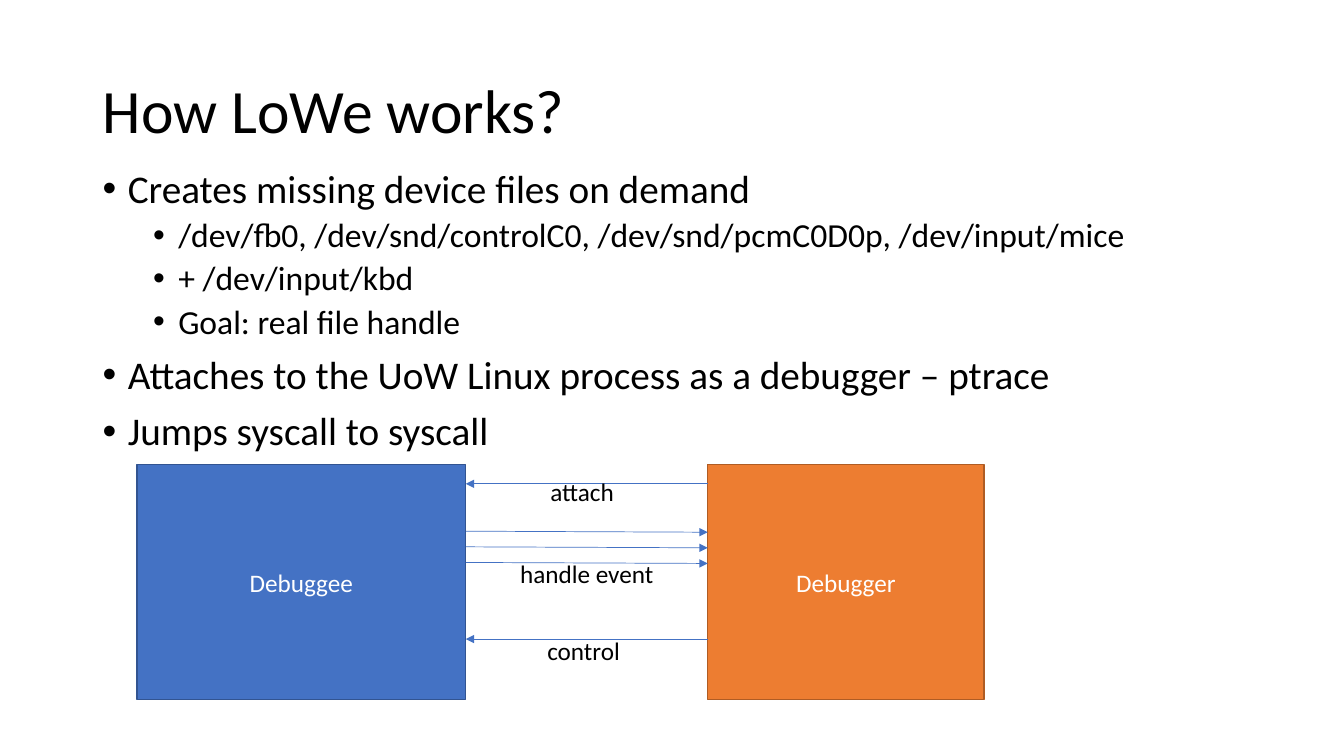
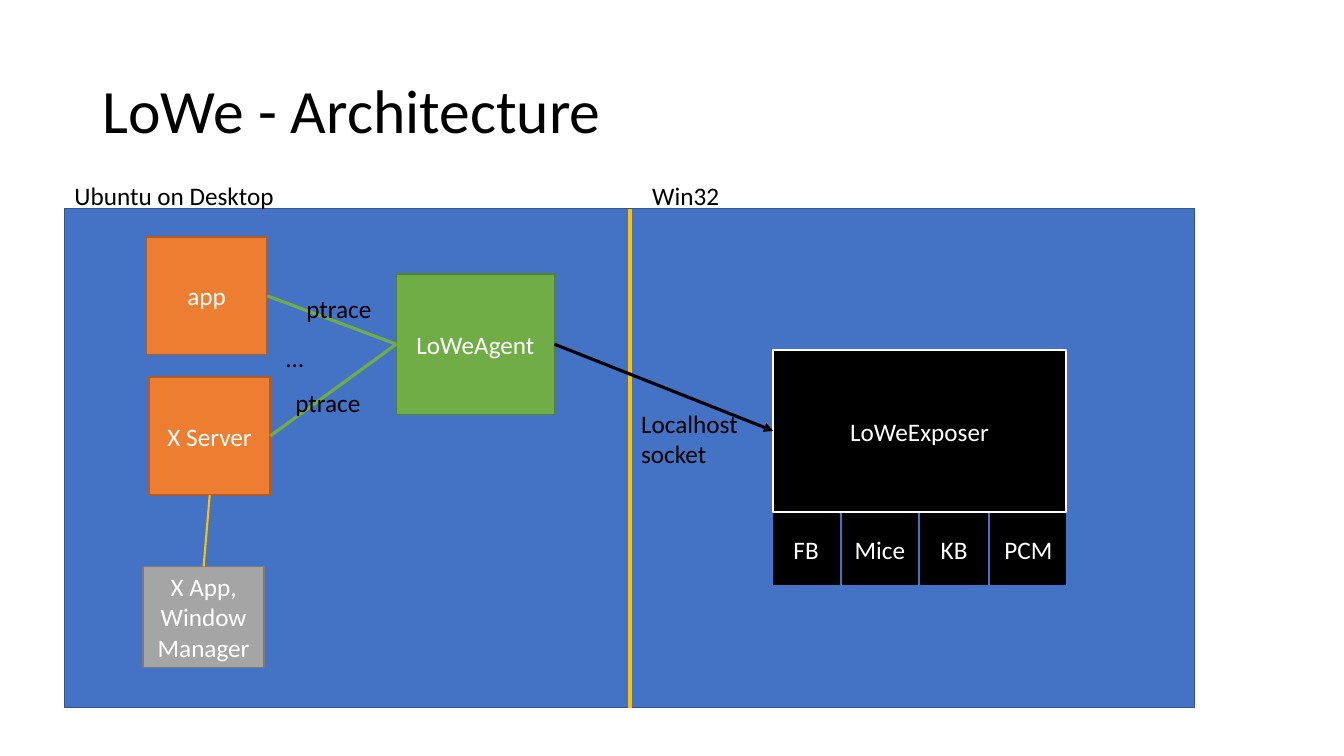
from lxml import etree
from pptx import Presentation
from pptx.dml.color import RGBColor
from pptx.enum.shapes import MSO_CONNECTOR, MSO_SHAPE
from pptx.enum.text import MSO_ANCHOR, PP_ALIGN
from pptx.oxml.ns import qn
from pptx.util import Inches, Pt

STRAIGHT = MSO_CONNECTOR.STRAIGHT
RECTANGLE = MSO_SHAPE.RECTANGLE
MIDDLE, TOP = MSO_ANCHOR.MIDDLE, MSO_ANCHOR.TOP
CENTER, LEFT = PP_ALIGN.CENTER, PP_ALIGN.LEFT

FONT = "Calibri"
LABEL_SIZE = 18
LABEL_HEIGHT = 0.4
TITLE_BOX = (0.92, 0.4, 11.5, 1.45)
COLORS = {
    "blue": "4472C4", "blue_edge": "325491",
    "orange": "ED7D31", "orange_edge": "AF5C24",
    "green": "70AD47", "green_edge": "538035",
    "gray": "A5A5A5", "gray_edge": "7A7A7A",
    "gold": "FFC000", "black": "000000", "white": "FFFFFF",
}
SITE_TOP, SITE_LEFT, SITE_BOTTOM, SITE_RIGHT = range(4)
LEVELS = (
    {"size": 28, "indent": 0.25, "before": 10},
    {"size": 24, "indent": 0.75, "before": 5},
)


def color(name):
    return RGBColor.from_string(COLORS[name])


def format_runs(paragraph, size, color_name):
    for run in paragraph.runs:
        run.font.name = FONT
        run.font.size = Pt(size)
        run.font.color.rgb = color(color_name)


def add_text(slide, box, text, size=LABEL_SIZE, wrap=False, anchor=TOP):
    shape = slide.shapes.add_textbox(*map(Inches, box))
    frame = shape.text_frame
    frame.word_wrap = wrap
    frame.vertical_anchor = anchor
    frame.text = text
    for paragraph in frame.paragraphs:
        paragraph.alignment = LEFT
        format_runs(paragraph, size, "black")
    return frame


def add_title(slide, text):
    frame = add_text(slide, TITLE_BOX, text, 44, True, MIDDLE)
    frame.paragraphs[0].line_spacing = 0.9


def add_box(slide, box, text, fill, edge, edge_width=1):
    shape = slide.shapes.add_shape(RECTANGLE, *map(Inches, box))
    shape.shadow.inherit = False
    shape.fill.solid()
    shape.fill.fore_color.rgb = color(fill)
    shape.line.color.rgb = color(edge)
    shape.line.width = Pt(edge_width)
    frame = shape.text_frame
    frame.word_wrap = True
    frame.vertical_anchor = MIDDLE
    frame.text = text
    paragraph = frame.paragraphs[0]
    paragraph.alignment = CENTER
    format_runs(paragraph, LABEL_SIZE, "white")
    return shape


def add_line(slide, color_name, width, ends=(0, 0, 0, 0), arrow=False):
    line = slide.shapes.add_connector(STRAIGHT, *map(Inches, ends))
    line.line.color.rgb = color(color_name)
    line.line.width = Pt(width)
    if arrow:
        etree.SubElement(line.line._get_or_add_ln(), qn("a:tailEnd"), type="triangle")
    etree.SubElement(line._element.spPr, qn("a:effectLst"))
    return line


def link(slide, start, start_site, end, end_site, color_name, width, arrow=False):
    line = add_line(slide, color_name, width, arrow=arrow)
    line.begin_connect(start, start_site)
    line.end_connect(end, end_site)


def add_bullets(slide, box, items):
    frame = add_text(slide, box, "\n".join(text for _, text in items), wrap=True)
    for index, (paragraph, (level, _)) in enumerate(zip(frame.paragraphs, items)):
        style = LEVELS[level]
        paragraph.level = level
        paragraph.line_spacing = 0.9
        paragraph.space_before = Pt(style["before"] if index else 0)
        properties = paragraph._p.get_or_add_pPr()
        properties.set("marL", str(Inches(style["indent"])))
        properties.set("indent", str(Inches(-0.25)))
        etree.SubElement(properties, qn("a:buFont"), typeface="Arial")
        etree.SubElement(properties, qn("a:buChar"), char="•")
        format_runs(paragraph, style["size"], "black")


def add_debug_diagram(slide, left, top, width, height):
    debuggee_width, debugger_width = 3.26, 2.74
    gap_left = left + debuggee_width
    gap_right = left + width - debugger_width
    add_box(slide, (left, top, debuggee_width, height), "Debuggee", "blue", "blue_edge")
    add_box(slide, (gap_right, top, debugger_width, height), "Debugger", "orange", "orange_edge")

    for offset in (0.19, 1.73):
        y = top + offset
        add_line(slide, "blue", 0.5, (gap_right, y, gap_left, y), True)
    for index in range(3):
        y = top + 0.66 + index * 0.155
        add_line(slide, "blue", 0.5, (gap_left, y, gap_right, y + 0.01), True)

    for text, x, y, label_width in (
        ("attach", 0.74, 0.07, 0.84),
        ("handle event", 0.44, 0.88, 1.54),
        ("control", 0.71, 1.64, 0.93),
    ):
        add_text(slide, (gap_left + x, top + y, label_width, LABEL_HEIGHT), text)


def add_exposer(slide, left, top, width):
    height, tile_height = 1.61, 0.7
    exposer = add_box(slide, (left, top, width, height), "LoWeExposer", "black", "white", 1.5)
    devices = (("FB", 0.65), ("Mice", 0.74), ("KB", 0.66), ("PCM", 0.74))
    gap = (width - sum(size for _, size in devices)) / (len(devices) - 1)
    x = left
    for name, tile_width in devices:
        tile = (x, top + height + 0.02, tile_width, tile_height)
        add_box(slide, tile, name, "black", "black")
        x += tile_width + gap
    return exposer


def add_architecture(slide, left, top, width, height):
    add_box(slide, (left, top, width, height), "", "blue", "blue_edge")
    divider = left + width / 2
    add_line(slide, "gold", 3, (divider, top, divider, top + height))

    parts = {}
    for name, x, y, part_width, part_height, fill in (
        ("app", 0.81, 0.28, 1.2, 1.17, "orange"),
        ("X Server", 0.84, 1.67, 1.2, 1.17, "orange"),
        ("X App, Window Manager", 0.78, 3.55, 1.2, 1, "gray"),
        ("LoWeAgent", 3.29, 0.65, 1.57, 1.39, "green"),
    ):
        box = (left + x, top + y, part_width, part_height)
        parts[name] = add_box(slide, box, name, fill, fill + "_edge")
    exposer = add_exposer(slide, left + 7.03, top + 1.4, 2.9)

    agent, server = parts["LoWeAgent"], parts["X Server"]
    for traced in (server, parts["app"]):
        link(slide, agent, SITE_LEFT, traced, SITE_RIGHT, "green", 2.25)
    link(slide, parts["X App, Window Manager"], SITE_TOP, server, SITE_BOTTOM, "gold", 1.5)
    link(slide, agent, SITE_RIGHT, exposer, SITE_LEFT, "black", 2.25, True)

    for text, x, y, label_width, label_height in (
        ("Ubuntu on Desktop", 0, -0.33, 2.32, LABEL_HEIGHT),
        ("Win32", 5.73, -0.33, 0.87, LABEL_HEIGHT),
        ("ptrace", 2.3, 0.79, 0.85, LABEL_HEIGHT),
        ("…", 2.1, 1.28, 0.38, LABEL_HEIGHT),
        ("ptrace", 2.19, 1.72, 0.85, LABEL_HEIGHT),
        ("Localhost\nsocket", 5.62, 1.93, 1.23, 0.71),
    ):
        add_text(slide, (left + x, top + y, label_width, label_height), text)


def build_works_slide(slide):
    add_title(slide, "How LoWe works?")
    add_bullets(slide, (0.92, 1.63, 11.5, 2.98), (
        (0, "Creates missing device files on demand"),
        (1, "/dev/fb0, /dev/snd/controlC0, /dev/snd/pcmC0D0p, /dev/input/mice"),
        (1, "+ /dev/input/kbd"),
        (1, "Goal: real file handle"),
        (0, "Attaches to the UoW Linux process as a debugger – ptrace"),
        (0, "Jumps syscall to syscall"),
    ))
    add_debug_diagram(slide, 1.36, 4.61, 8.4, 2.33)


def build_architecture_slide(slide):
    add_title(slide, "LoWe - Architecture")
    add_architecture(slide, 0.64, 2.07, 11.21, 4.95)


def main():
    presentation = Presentation()
    presentation.slide_width = Inches(13.33)
    presentation.slide_height = Inches(7.5)
    blank = presentation.slide_layouts[6]
    for build in (build_works_slide, build_architecture_slide):
        build(presentation.slides.add_slide(blank))
    presentation.save("out.pptx")


if __name__ == "__main__":
    main()
